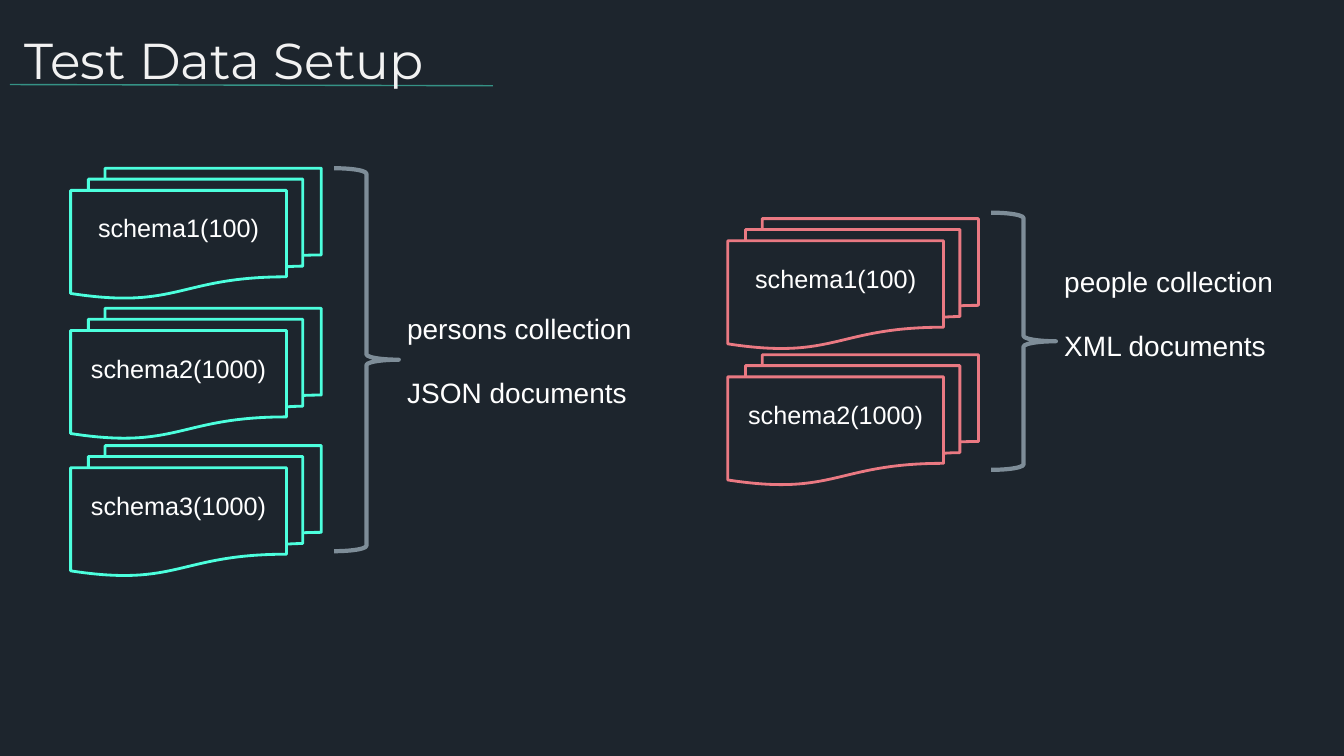
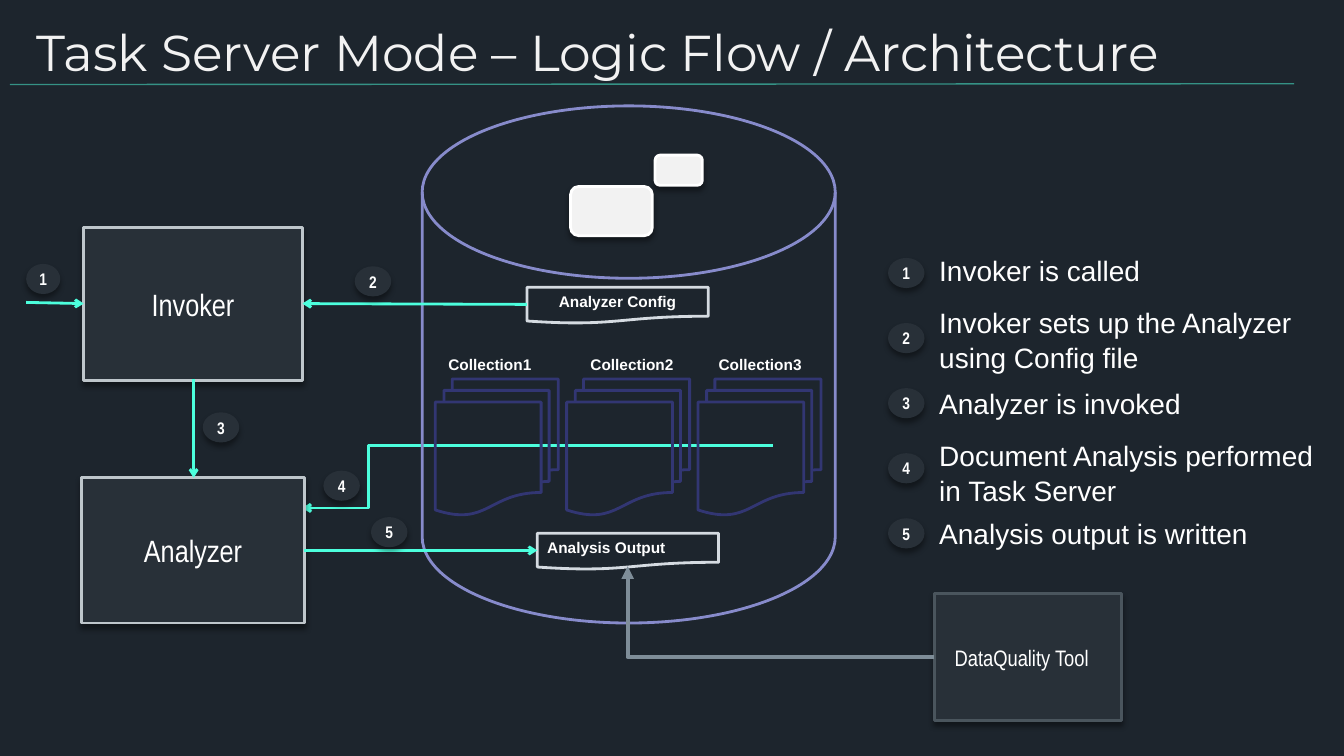
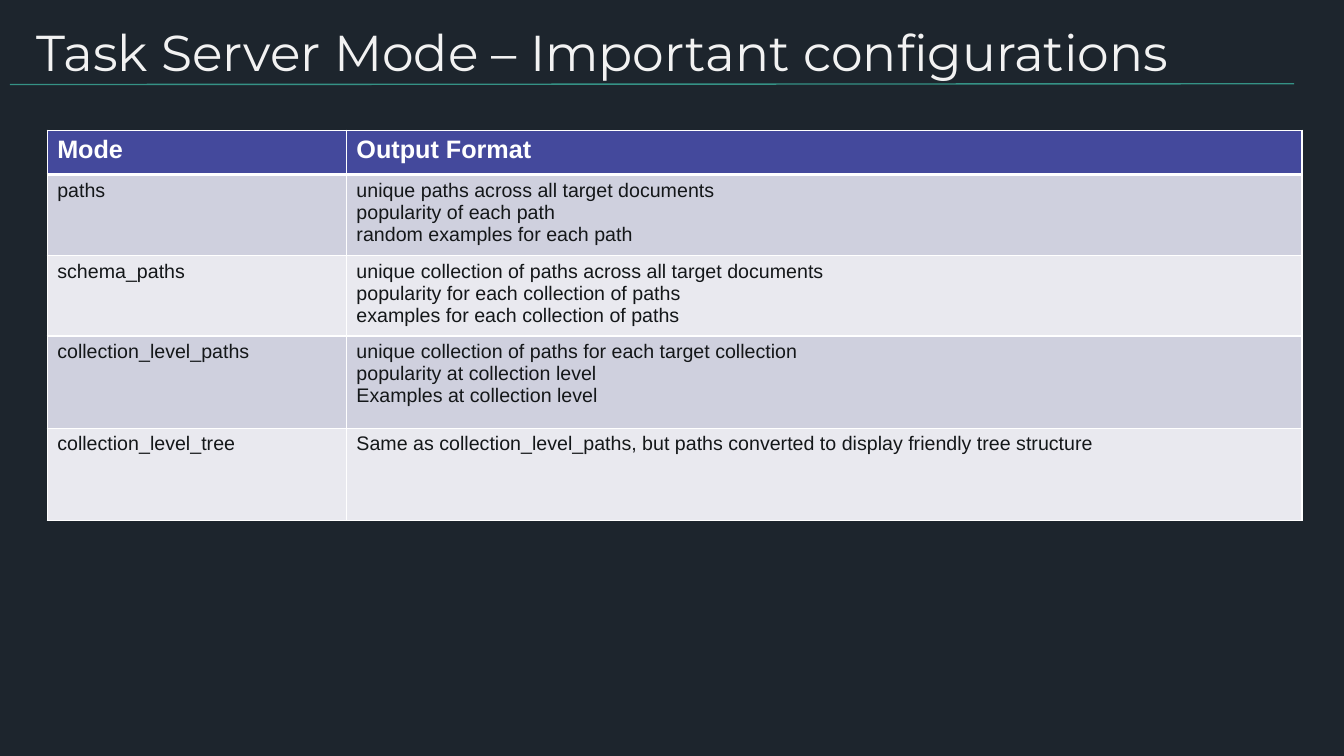
from lxml import etree
from pptx import Presentation
from pptx.dml.color import RGBColor
from pptx.enum import shapes, text
from pptx.oxml import ns
from pptx.util import Cm, Pt

NIGHT = RGBColor(0x1D, 0x25, 0x2D)
PANEL = RGBColor(0x28, 0x30, 0x38)
WHITE = RGBColor(0xFF, 0xFF, 0xFF)
OFF_WHITE = RGBColor(0xF2, 0xF2, 0xF2)
INK = RGBColor(0x14, 0x17, 0x19)
TEAL = RGBColor(0x35, 0x92, 0x85)
MINT = RGBColor(0x4C, 0xFF, 0xDD)
CORAL = RGBColor(0xEA, 0x79, 0x82)
STEEL = RGBColor(0x7E, 0x8D, 0x98)
SILVER = RGBColor(0xBE, 0xC6, 0xCB)
PALE = RGBColor(0xD5, 0xDB, 0xE1)
SLATE = RGBColor(0x4A, 0x55, 0x5D)
LILAC = RGBColor(0x87, 0x8B, 0xCB)
INDIGO = RGBColor(0x32, 0x36, 0x73)
VIOLET = RGBColor(0x44, 0x49, 0x9C)
BAND_DARK = RGBColor(0xCF, 0xD0, 0xDE)
BAND_LIGHT = RGBColor(0xE9, 0xE9, 0xEF)

BODY, NARROW, DISPLAY = "Arial", "Arial Narrow", "Montserrat"
LINE_SPACING = 1.05
INSET = (0.25, 0.13, 0.25, 0.13)
NO_INSET = (0, 0, 0, 0)
PANEL_INSET = (0.51, 0.51, 0.51, 0.51)

MSO = shapes.MSO_SHAPE
LEFT, CENTER = text.PP_ALIGN.LEFT, text.PP_ALIGN.CENTER
TOP, MIDDLE = text.MSO_ANCHOR.TOP, text.MSO_ANCHOR.MIDDLE


# Text
def write(frame, lines, size, font=BODY, color=WHITE, bold=False, align=LEFT,
          anchor=TOP, inset=INSET, indent=0, gap=0, spacing=None):
    frame.word_wrap = True
    frame.vertical_anchor = anchor
    (frame.margin_left, frame.margin_top,
     frame.margin_right, frame.margin_bottom) = map(Cm, inset)
    for index, line in enumerate(lines):
        paragraph = frame.paragraphs[0] if index == 0 else frame.add_paragraph()
        paragraph.alignment = align
        if spacing:
            paragraph.line_spacing = spacing
        if gap:
            paragraph.space_before = paragraph.space_after = Pt(gap)
        if indent:
            paragraph._p.get_or_add_pPr().set("marL", str(Cm(indent)))
        run = paragraph.add_run()
        run.text = line
        run.font.name, run.font.size = font, Pt(size)
        run.font.color.rgb, run.font.bold = color, bold


def add_text(slide, box, lines, size, **style):
    write(slide.shapes.add_textbox(*map(Cm, box)).text_frame, lines, size, **style)


def add_caption(slide, box, lines):
    add_text(slide, box, lines, 20, inset=NO_INSET, indent=0.23, gap=10,
             spacing=LINE_SPACING)


# Shapes and lines
def add_figure(slide, kind, box, fill=None, line=None, width=2, shadow=False):
    figure = slide.shapes.add_shape(kind, *map(Cm, box))
    if fill is None:
        figure.fill.background()
    else:
        figure.fill.solid()
        figure.fill.fore_color.rgb = fill
    if line is None:
        figure.line.fill.background()
    else:
        figure.line.color.rgb, figure.line.width = line, Pt(width)
    figure.shadow.inherit = False
    if shadow:
        effects = figure._element.spPr.find(ns.qn("a:effectLst"))
        outer = etree.SubElement(effects, ns.qn("a:outerShdw"), blurRad=str(Pt(4)),
                                 dist=str(Pt(3)), dir="5400000")
        black = etree.SubElement(outer, ns.qn("a:srgbClr"), val="000000")
        etree.SubElement(black, ns.qn("a:alpha"), val="40000")
    return figure


def add_line(slide, start, end, color, width=2, arrow=None, bend=None, adjust=None):
    kind = shapes.MSO_CONNECTOR.ELBOW if bend else shapes.MSO_CONNECTOR.STRAIGHT
    link = slide.shapes.add_connector(kind, *map(Cm, start + end))
    link.line.color.rgb, link.line.width = color, Pt(width)
    properties = link._element.spPr
    if arrow:
        etree.SubElement(link.line._get_or_add_ln(), ns.qn("a:tailEnd"), type=arrow)
    if bend:
        geometry = properties.find(ns.qn("a:prstGeom"))
        geometry.set("prst", bend)
        if adjust:
            etree.SubElement(geometry.find(ns.qn("a:avLst")), ns.qn("a:gd"),
                             name="adj1", fmla=f"val {adjust}")
    etree.SubElement(properties, ns.qn("a:effectLst"))


def add_panel(slide, box, label, size, line, align=CENTER):
    panel = add_figure(slide, MSO.RECTANGLE, box, PANEL, line, shadow=True)
    write(panel.text_frame, [label], size, NARROW, align=align, anchor=MIDDLE,
          inset=PANEL_INSET)


def add_badge(slide, left, top, number, width=0.92):
    badge = add_figure(slide, MSO.OVAL, (left, top, width, 0.76), PANEL, shadow=True)
    write(badge.text_frame, [str(number)], 12, NARROW, bold=True, align=CENTER,
          anchor=MIDDLE, inset=NO_INSET)


def add_document(slide, left, top, label, align):
    document = add_figure(slide, MSO.FLOWCHART_DOCUMENT, (left, top, 4.57, 0.91),
                          line=PALE)
    write(document.text_frame, [label], 11, bold=True, align=align)


# Shared slide frame
def add_slide(deck, title, title_box=(0.66, 0.33, 32.69, 1.8), rule_end=(32.61, 2.11)):
    slide = deck.slides.add_slide(deck.slide_layouts[6])
    add_line(slide, rule_end, (0.25, 2.13), TEAL, 1)
    add_text(slide, title_box, [title], 36, font=DISPLAY, color=OFF_WHITE,
             spacing=LINE_SPACING)
    return slide


# Slide 1: collections of sample documents
def add_collection(slide, left, color, schemas, brace_top, brace_height,
                   caption_top, caption):
    for top, label in schemas:
        stack = add_figure(slide, MSO.FLOWCHART_MULTIDOCUMENT,
                           (left, top, 6.32, 3.28), line=color)
        write(stack.text_frame, [label], 18, align=CENTER, anchor=MIDDLE,
              inset=(0.25, 0.13, 0.25, 0.84))
    add_figure(slide, MSO.RIGHT_BRACE, (left + 6.64, brace_top, 1.63, brace_height),
               line=STEEL, width=3)
    add_caption(slide, (left + 8.25, caption_top, 6.25, 3.18), caption)


def build_test_data(deck):
    slide = add_slide(deck, "Test Data Setup", (0.36, 0.53, 12.24, 1.8), (12.42, 2.16))
    add_collection(slide, 1.78, MINT,
                   [(4.24, "schema1(100)"), (7.77, "schema2(1000)"),
                    (11.23, "schema3(1000)")],
                   4.24, 9.65, 7.82, ["persons collection", "JSON documents"])
    add_collection(slide, 18.34, CORAL,
                   [(5.51, "schema1(100)"), (8.94, "schema2(1000)")],
                   5.36, 6.48, 6.63, ["people collection", "XML documents"])


# Slide 2: logic flow
def build_logic_flow(deck):
    slide = add_slide(deck, "Task Server Mode – Logic Flow / Architecture")

    # Collections inside the database
    add_line(slide, (19.48, 11.23), (7.62, 12.8), MINT, arrow="arrow",
             bend="bentConnector3", adjust=85900)
    add_figure(slide, MSO.FLOWCHART_MAGNETIC_DISK, (10.64, 2.67, 10.41, 13.03),
               line=LILAC)
    for index, label_left in enumerate((11.05, 14.63, 17.86)):
        add_figure(slide, MSO.FLOWCHART_MULTIDOCUMENT,
                   (10.97 + 3.31 * index, 9.55, 3.1, 3.43), line=INDIGO)
        add_text(slide, (label_left, 8.81, 3, 0.74), [f"Collection{index + 1}"], 11,
                 bold=True)
    for server_box in ((14.38, 4.7, 2.06, 1.24), (16.51, 3.91, 1.19, 0.76)):
        add_figure(slide, MSO.ROUNDED_RECTANGLE, server_box, OFF_WHITE, WHITE,
                   shadow=True)
    add_document(slide, 13.28, 7.24, "Analyzer Config", CENTER)
    add_document(slide, 13.54, 13.44, "Analysis Output", LEFT)

    # Components
    add_panel(slide, (2.11, 5.74, 5.51, 3.84), "Invoker", 22, SILVER)
    add_panel(slide, (2.06, 12.04, 5.61, 3.66), "Analyzer", 22, SILVER)
    add_panel(slide, (23.55, 14.96, 4.72, 3.2), "DataQuality Tool", 16, SLATE, LEFT)

    # Steps
    for start, end in (((0.66, 7.62), (2.11, 7.65)), ((13.28, 7.67), (7.62, 7.65)),
                       ((4.88, 9.55), (4.88, 12.04)), ((7.67, 13.87), (13.54, 13.87))):
        add_line(slide, start, end, MINT, arrow="arrow")
    add_line(slide, (23.55, 16.56), (15.82, 14.27), STEEL, 3, "triangle",
             "bentConnector2")
    steps = [
        (0.66, 6.65, 0.86, 6.35, "Invoker is called"),
        (8.94, 6.71, 0.92, 7.65, "Invoker sets up the Analyzer using Config file"),
        (5.11, 10.39, 0.92, 9.7, "Analyzer is invoked"),
        (8.15, 11.86, 0.92, 11, "Document Analysis performed in Task Server"),
        (9.35, 13.03, 0.92, 12.98, "Analysis output is written"),
    ]
    for index, (left, top, width, legend_top, legend) in enumerate(steps):
        add_badge(slide, left, top, index + 1, width)
        add_badge(slide, 22.38, 6.5 + 1.64 * index, index + 1)
        add_caption(slide, (23.44, legend_top, 9.78, 1.19), [legend])


# Slide 3: table of modes
def set_borders(cell, top, bottom):
    properties = cell._tc.get_or_add_tcPr()
    for index, (side, width) in enumerate(
            (("L", 1), ("R", 1), ("T", top), ("B", bottom))):
        border = etree.Element(ns.qn(f"a:ln{side}"), w=str(Pt(width)))
        fill = etree.SubElement(border, ns.qn("a:solidFill"))
        etree.SubElement(fill, ns.qn("a:srgbClr"), val=str(WHITE))
        properties.insert(index, border)


def build_configurations(deck):
    slide = add_slide(deck, "Task Server Mode – Important configurations")
    rows = [
        (1.12, "Mode", ["Output Format"]),
        (1.93, "paths", ["unique paths across all target documents",
                         "popularity of each path",
                         "random examples for each path"]),
        (1.93, "schema_paths", ["unique collection of paths across all target documents",
                                "popularity for each collection of paths",
                                "examples for each collection of paths"]),
        (2.32, "collection_level_paths",
         ["unique collection of paths for each target collection",
          "popularity at collection level",
          "Examples at collection level"]),
        (2.32, "collection_level_tree",
         ["Same as collection_level_paths, but paths converted to display "
          "friendly tree structure"]),
    ]
    modes = slide.shapes.add_table(len(rows), 2, Cm(1.19), Cm(3.28), Cm(31.62),
                                   Cm(sum(row[0] for row in rows))).table
    modes.columns[0].width, modes.columns[1].width = Cm(7.54), Cm(24.08)
    for index, (height, mode, output) in enumerate(rows):
        modes.rows[index].height = Cm(height)
        header = index == 0
        band = VIOLET if header else (BAND_DARK if index % 2 else BAND_LIGHT)
        for column, lines in enumerate(([mode], output)):
            cell = modes.cell(index, column)
            cell.fill.solid()
            cell.fill.fore_color.rgb = band
            set_borders(cell, 3 if index == 1 else 1, 3 if header else 1)
            write(cell.text_frame, lines, 18 if header else 14,
                  color=WHITE if header else INK, bold=header)


def main():
    deck = Presentation()
    deck.slide_width, deck.slide_height = Cm(33.87), Cm(19.05)
    background = deck.slide_master.background.fill
    background.solid()
    background.fore_color.rgb = NIGHT
    build_test_data(deck)
    build_logic_flow(deck)
    build_configurations(deck)
    deck.save("out.pptx")


main()
